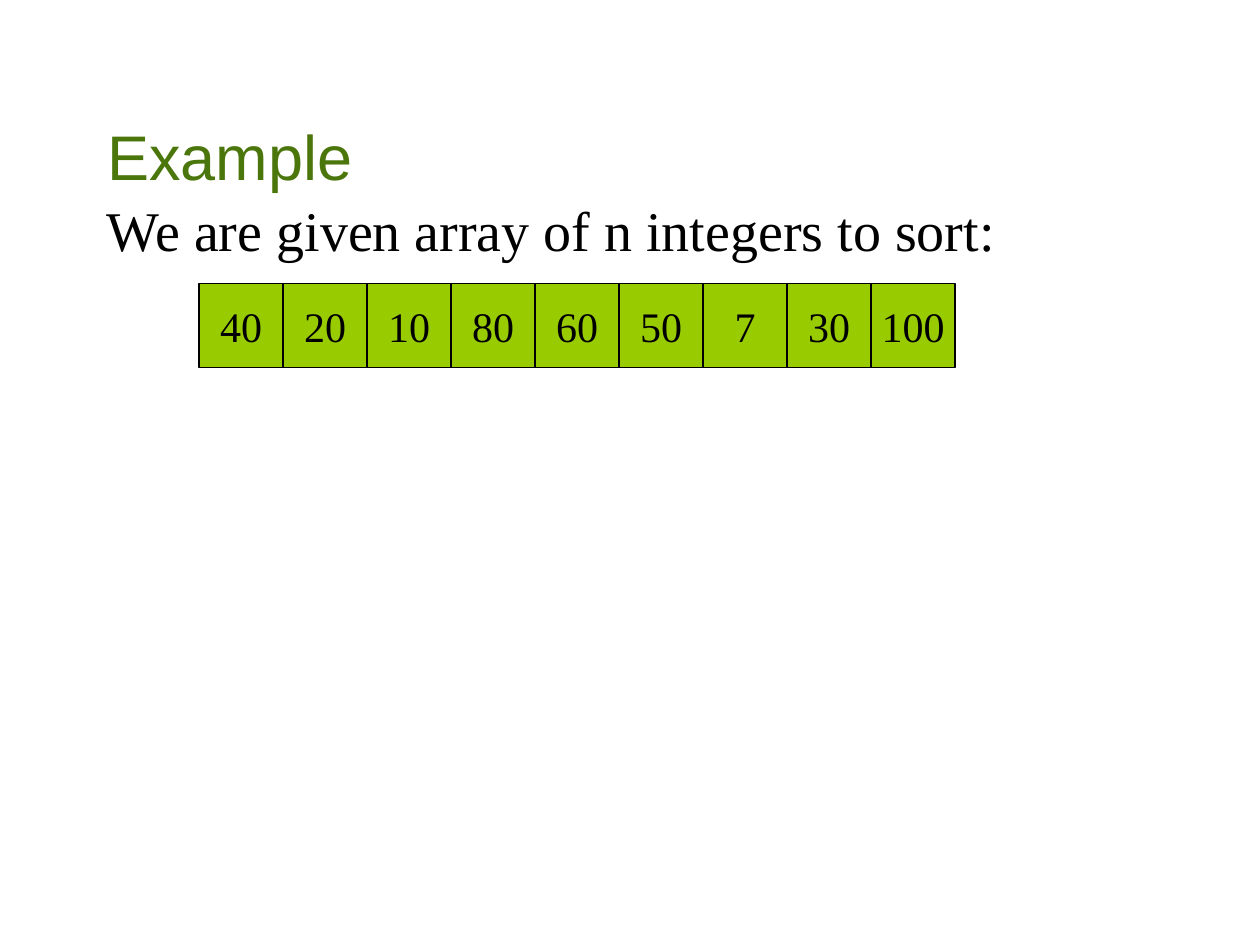
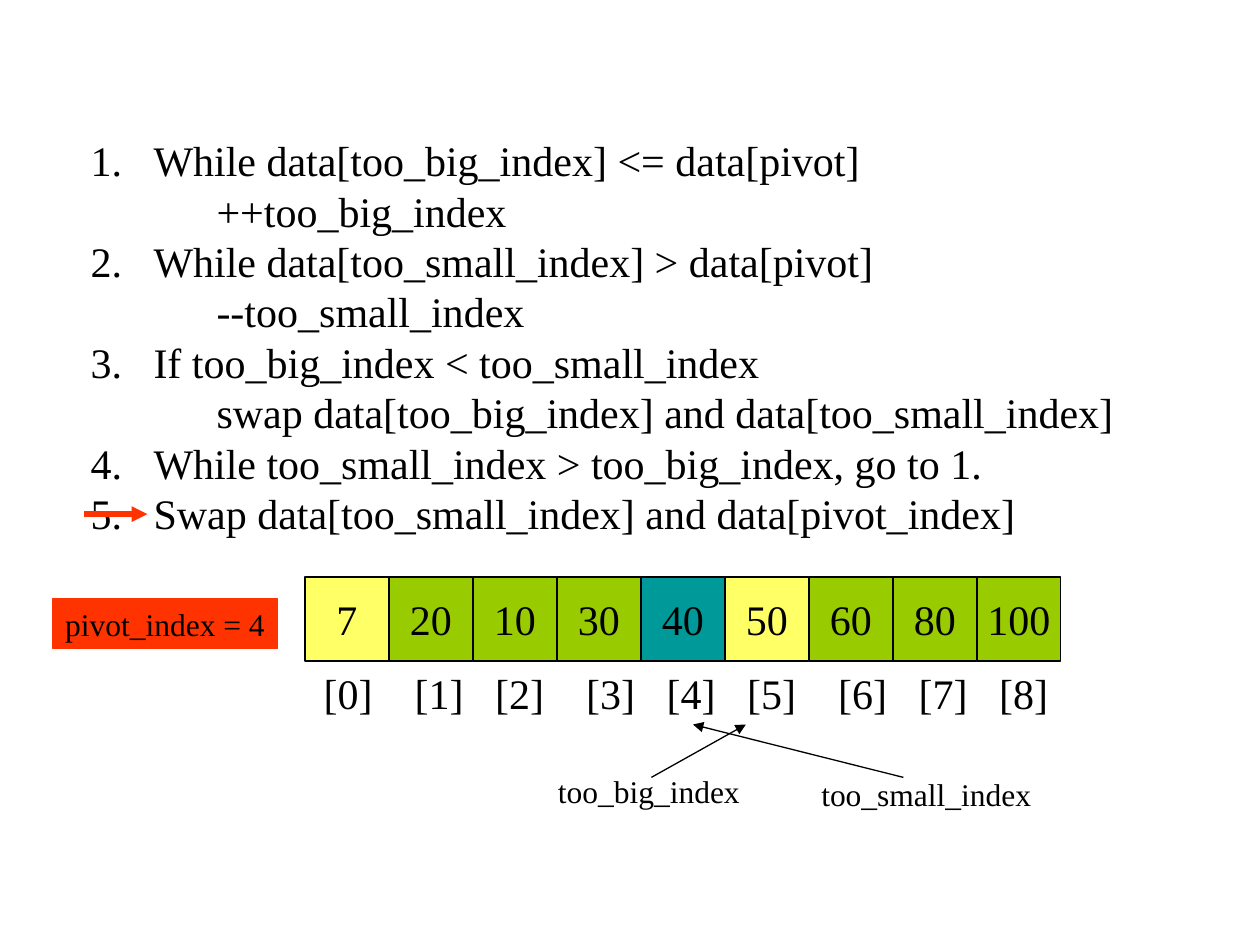
from itertools import accumulate

from pptx import Presentation
from pptx import util as u
from pptx.dml.color import RGBColor
from pptx.enum import shapes, text
from pptx.oxml.ns import qn
from lxml import etree

HUES = {
    "title": "4B760B",
    "ink": "000000",
    "cell": "99CC00",
    "swap": "FFFF66",
    "pivot": "009999",
    "alert": "FF3300",
}
SERIF = "Times New Roman"
SIDE = 2 / 3
STEPS = [
    ("While data[too_big_index] <= data[pivot]", "++too_big_index"),
    ("While data[too_small_index] > data[pivot]", "--too_small_index"),
    ("If too_big_index < too_small_index",
     "swap data[too_big_index] and data[too_small_index]"),
    ("While too_small_index > too_big_index, go to 1.", None),
    ("Swap data[too_small_index] and data[pivot_index]", None),
]


def hue(name):
    return RGBColor.from_string(HUES[name])


def style(para, size, face=SERIF, tint="ink"):
    font = para.font
    font.size = u.Pt(size)
    font.name = face
    font.color.rgb = hue(tint)


def add_child(node, tag, **attrs):
    return etree.SubElement(node, qn(tag), attrs)


def add_title(slide, words):
    title = slide.shapes.title
    title.left, title.top = u.Inches(0.75), u.Inches(0.33)
    title.width, title.height = u.Inches(8.5), u.Inches(1.25)
    frame = title.text_frame
    frame.text = words
    frame.vertical_anchor = text.MSO_ANCHOR.BOTTOM
    para = frame.paragraphs[0]
    para.alignment = text.PP_ALIGN.LEFT
    style(para, 36, "Arial", "title")


def add_frame(slide, x, y, w, h):
    box = slide.shapes.add_textbox(*map(u.Inches, (x, y, w, h)))
    box.text_frame.word_wrap = True
    return box.text_frame


def add_label(slide, words, x, y, w, h, size):
    para = add_frame(slide, x, y, w, h).paragraphs[0]
    para.text = words
    style(para, size)


def add_rect(slide, words, x, y, w, h, fill, edge, size):
    rect = slide.shapes.add_shape(
        shapes.MSO_SHAPE.RECTANGLE, *map(u.Inches, (x, y, w, h)))
    rect.shadow.inherit = False
    rect.fill.solid()
    rect.fill.fore_color.rgb = hue(fill)
    rect.line.color.rgb = hue(edge)
    rect.line.width = u.Pt(0.75)
    frame = rect.text_frame
    frame.word_wrap = False
    frame.vertical_anchor = text.MSO_ANCHOR.MIDDLE
    para = frame.paragraphs[0]
    para.text = words
    para.alignment = text.PP_ALIGN.CENTER
    style(para, size)


def add_array(slide, nums, x, y, marks):
    for i, num in enumerate(nums):
        add_rect(slide, str(num), x + i * SIDE, y, SIDE, SIDE,
                 marks.get(i, "cell"), "ink", 24)


def add_index(slide, x, y):
    para = add_frame(slide, x, y, 6, 0.5).paragraphs[0]
    para.text = "\t".join(f"[{i}]" for i in range(9))
    tabs = add_child(para._p.get_or_add_pPr(), "a:tabLst")
    for stop in accumulate((52, 46, 52, 46, 46, 52, 46, 46)):
        add_child(tabs, "a:tab", pos=str(u.Pt(stop)), algn="l")
    style(para, 24)


def add_steps(slide, x, y):
    frame = add_frame(slide, x, y, 9.32, 3.3)
    lines = [(words, lvl) for step in STEPS
             for lvl, words in enumerate(step) if words]
    for i, (words, lvl) in enumerate(lines):
        para = frame.add_paragraph() if i else frame.paragraphs[0]
        para.text = words
        para.level = lvl
        props = para._p.get_or_add_pPr()
        props.set("marL", str(u.Inches(1 if lvl else 0.5)))
        props.set("indent", str(u.Inches(0 if lvl else -0.5)))
        if lvl:
            add_child(props, "a:buNone")
        else:
            add_child(props, "a:buAutoNum", type="arabicPeriod")
        style(para, 24)


def add_arrow(slide, start, end, tint="ink", width=0.75):
    line = slide.shapes.add_connector(
        shapes.MSO_CONNECTOR.STRAIGHT, *map(u.Inches, start + end))
    line.line.color.rgb = hue(tint)
    line.line.width = u.Pt(width)
    add_child(line.line._get_or_add_ln(), "a:tailEnd", type="triangle")
    add_child(line._element.spPr, "a:effectLst")


def draw_input(deck):
    slide = deck.slides.add_slide(deck.slide_layouts[5])
    add_title(slide, "Example")
    add_label(slide, "We are given array of n integers to sort:",
              0.75, 1.5, 8.5, 0.65, 32)
    add_array(slide, (40, 20, 10, 80, 60, 50, 7, 30, 100), 1.58, 2.25, {})


def draw_swap(deck):
    slide = deck.slides.add_slide(deck.slide_layouts[6])
    add_steps(slide, 0.62, 1.02)
    add_array(slide, (7, 20, 10, 30, 40, 50, 60, 80, 100), 2.42, 4.58,
              {0: "swap", 4: "pivot", 5: "swap"})
    add_rect(slide, "pivot_index = 4", 0.42, 4.75, 1.78, 0.4,
             "alert", "alert", 18)
    add_index(slide, 2.47, 5.25)
    add_label(slide, "too_big_index", 4.33, 6.08, 2, 0.4, 18)
    add_label(slide, "too_small_index", 6.42, 6.1, 2.33, 0.4, 18)
    add_arrow(slide, (7.17, 6.17), (5.5, 5.75))
    add_arrow(slide, (5.17, 6.17), (5.92, 5.75))
    add_arrow(slide, (0.67, 4.08), (1.17, 4.08), "alert", 3)


def main():
    deck = Presentation()
    deck.slide_width, deck.slide_height = u.Inches(10), u.Inches(7.5)
    draw_input(deck)
    draw_swap(deck)
    deck.save("out.pptx")


if __name__ == "__main__":
    main()
